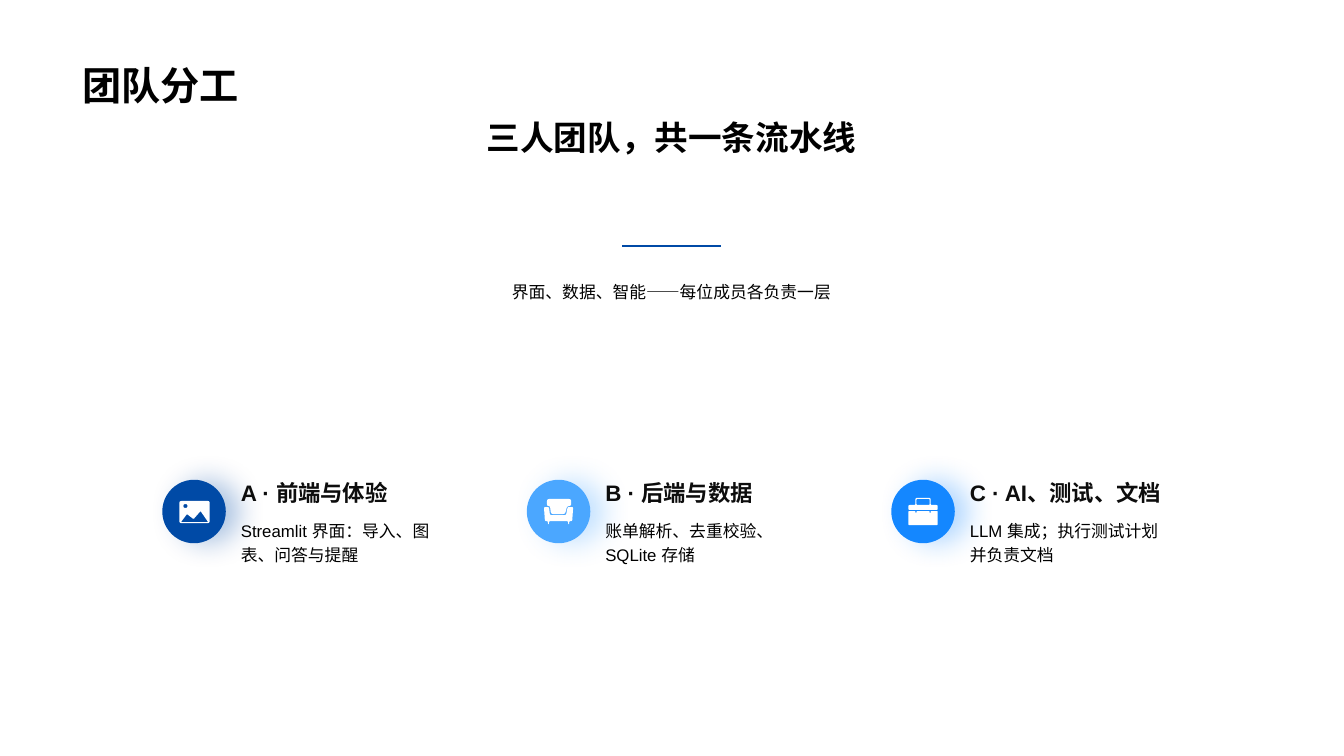
"""Build the team roles slide with three icon columns."""
from lxml.etree import SubElement
from pptx import Presentation
from pptx.dml.color import RGBColor
from pptx.enum.shapes import MSO_CONNECTOR as CONN, MSO_SHAPE as SHAPE
from pptx.enum.text import MSO_ANCHOR as ANCHOR, PP_ALIGN as ALIGN
from pptx.oxml.ns import qn
from pptx.util import Inches, Pt

BLACK = RGBColor(0x00, 0x00, 0x00)
INK = RGBColor(0x0D, 0x0D, 0x0D)
WHITE = RGBColor(0xFF, 0xFF, 0xFF)
NAVY = RGBColor(0x00, 0x4A, 0xA6)
SKY = RGBColor(0x4B, 0xA7, 0xFF)
AZURE = RGBColor(0x14, 0x87, 0xFF)

DISC_LEFT, DISC_TOP, DISC_SIZE = 1.61, 4.76, 0.63
COLUMN_STEP = 7.23 / 2

# Each contour is a corner radius and its corners, in hundredths of an inch from the disc.
PHOTO = [
    (2, [(17, 21), (47, 21), (47, 43), (17, 43)]),
    (1, [(18.5, 42), (24.5, 34), (31, 39), (38, 31), (45.5, 42)]),
    (2, [(21, 24), (25, 24), (25, 28), (21, 28)]),
]
SOFA = [
    (1.5, [(17, 27), (22, 27), (23, 35), (39, 35), (40.5, 27), (46, 27), (45, 41),
           (42, 41), (42, 44), (41, 44), (41, 41), (22, 41), (22, 44), (21, 44),
           (21, 41), (18, 41)]),
    (2.5, [(20, 19), (44, 19), (44, 26), (40, 26), (38, 34), (24, 34), (23, 26), (20, 26)]),
]
BRIEFCASE = [
    (1, [(17, 31), (24, 31), (24, 33), (25, 33), (25, 31), (38, 31), (38, 33), (39, 33),
         (39, 31), (46, 31), (46, 45), (17, 45)]),
    (1.5, [(17, 30), (17, 25), (24, 25), (24, 18), (39, 18), (39, 25), (46, 25), (46, 30)]),
    (1, [(25, 25), (25, 19), (38, 19), (38, 25)]),
]

ROLES = [
    ("A · 前端与体验", "Streamlit 界面：导入、图表、问答与提醒", NAVY, PHOTO),
    ("B · 后端与数据", "账单解析、去重校验、SQLite 存储", SKY, SOFA),
    ("C · AI、测试、文档", "LLM 集成；执行测试计划并负责文档", AZURE, BRIEFCASE),
]


def add_text(s, text, box, size, color=BLACK, bold=False, align=ALIGN.LEFT,
             anchor=ANCHOR.TOP, spacing=None, wrap=True):
    """Add a one-paragraph text box."""
    tf = s.shapes.add_textbox(*map(Inches, box)).text_frame
    tf.word_wrap = wrap
    tf.vertical_anchor = anchor
    p = tf.paragraphs[0]
    p.text = text
    p.alignment = align
    p.line_spacing = spacing
    font = p.runs[0].font
    font.name, font.size, font.bold = "Arial", Pt(size), bold
    font.color.rgb = color


def add_glow(sp, color):
    """Give a shape a soft shadow of its own colour to the right."""
    effects = sp._element.spPr.find(qn("a:effectLst"))
    shadow = SubElement(effects, qn("a:outerShdw"), blurRad=str(Pt(20)), dist=str(Pt(10)),
                        dir="0", algn="ctr", rotWithShape="0")
    tint = SubElement(shadow, qn("a:srgbClr"), val=str(color))
    SubElement(tint, qn("a:alpha"), val="32000")


def add_disc(s, left, color):
    """Add the coloured disc behind an icon."""
    box = (left, DISC_TOP, DISC_SIZE, DISC_SIZE)
    sp = s.shapes.add_shape(SHAPE.OVAL, *map(Inches, box))
    sp.shadow.inherit = False
    sp.fill.solid()
    sp.fill.fore_color.rgb = color
    sp.line.fill.background()
    add_glow(sp, color)


def toward(corner, other, radius):
    """Return the point where rounding starts between two corners."""
    dx, dy = other[0] - corner[0], other[1] - corner[1]
    length = (dx * dx + dy * dy) ** 0.5
    share = min(radius / length, 0.5)
    return corner[0] + dx * share, corner[1] + dy * share


def round_corners(corners, radius, steps=5):
    """Return the outline of a polygon with its corners rounded."""
    points = []
    for i, corner in enumerate(corners):
        start = toward(corner, corners[i - 1], radius)
        end = toward(corner, corners[(i + 1) % len(corners)], radius)
        for t in (n / steps for n in range(steps + 1)):
            points.append(tuple((1 - t) ** 2 * a + 2 * t * (1 - t) * b + t * t * c
                                for a, b, c in zip(start, corner, end)))
    return points


def add_icon(s, left, contours):
    """Draw a white icon from its contours."""
    builder = None
    for radius, corners in contours:
        points = [(Inches(left + x / 100), Inches(DISC_TOP + y / 100))
                  for x, y in round_corners(corners, radius)]
        if builder is None:
            builder = s.shapes.build_freeform(*points[0])
        else:
            builder.move_to(*points[0])
        builder.add_line_segments(points[1:], close=True)
    sp = builder.convert_to_shape()
    sp.shadow.inherit = False
    sp.fill.solid()
    sp.fill.fore_color.rgb = WHITE
    sp.line.fill.background()


def add_role(s, left, name, duty, color, icon):
    """Add one team member's icon, name and duty."""
    add_disc(s, left, color)
    add_icon(s, left, icon)
    text_left = left + 0.68
    add_text(s, name, (text_left, 4.67, 2.19, 0.4), 16, INK, bold=True,
             anchor=ANCHOR.BOTTOM, wrap=False)
    add_text(s, duty, (text_left, 5.08, 2.19, 0.56), 12, spacing=1.2)


def add_rule(s, x1, x2, y):
    """Add the short horizontal rule under the heading."""
    line = s.shapes.add_connector(CONN.STRAIGHT, *map(Inches, (x1, y, x2, y)))
    line.line.color.rgb = NAVY
    line.line.width = Pt(1.5)
    SubElement(line._element.spPr, qn("a:effectLst"))


def main():
    """Build and save the slide."""
    prs = Presentation()
    prs.slide_width, prs.slide_height = Inches(13.33), Inches(7.5)
    s = prs.slides.add_slide(prs.slide_layouts[6])
    add_text(s, "团队分工", (0.72, 0, 11.88, 1.12), 28, bold=True, anchor=ANCHOR.BOTTOM)
    add_text(s, "三人团队，共一条流水线", (0.72, 1.11, 11.88, 0.5), 24, bold=True,
             align=ALIGN.CENTER)
    add_rule(s, 6.17, 7.15, 2.44)
    add_text(s, "界面、数据、智能——每位成员各负责一层", (0.72, 2.71, 11.88, 0.32), 12,
             align=ALIGN.CENTER, spacing=1.2)
    for i, role in enumerate(ROLES):
        add_role(s, DISC_LEFT + i * COLUMN_STEP, *role)
    prs.save("out.pptx")


if __name__ == "__main__":
    main()
